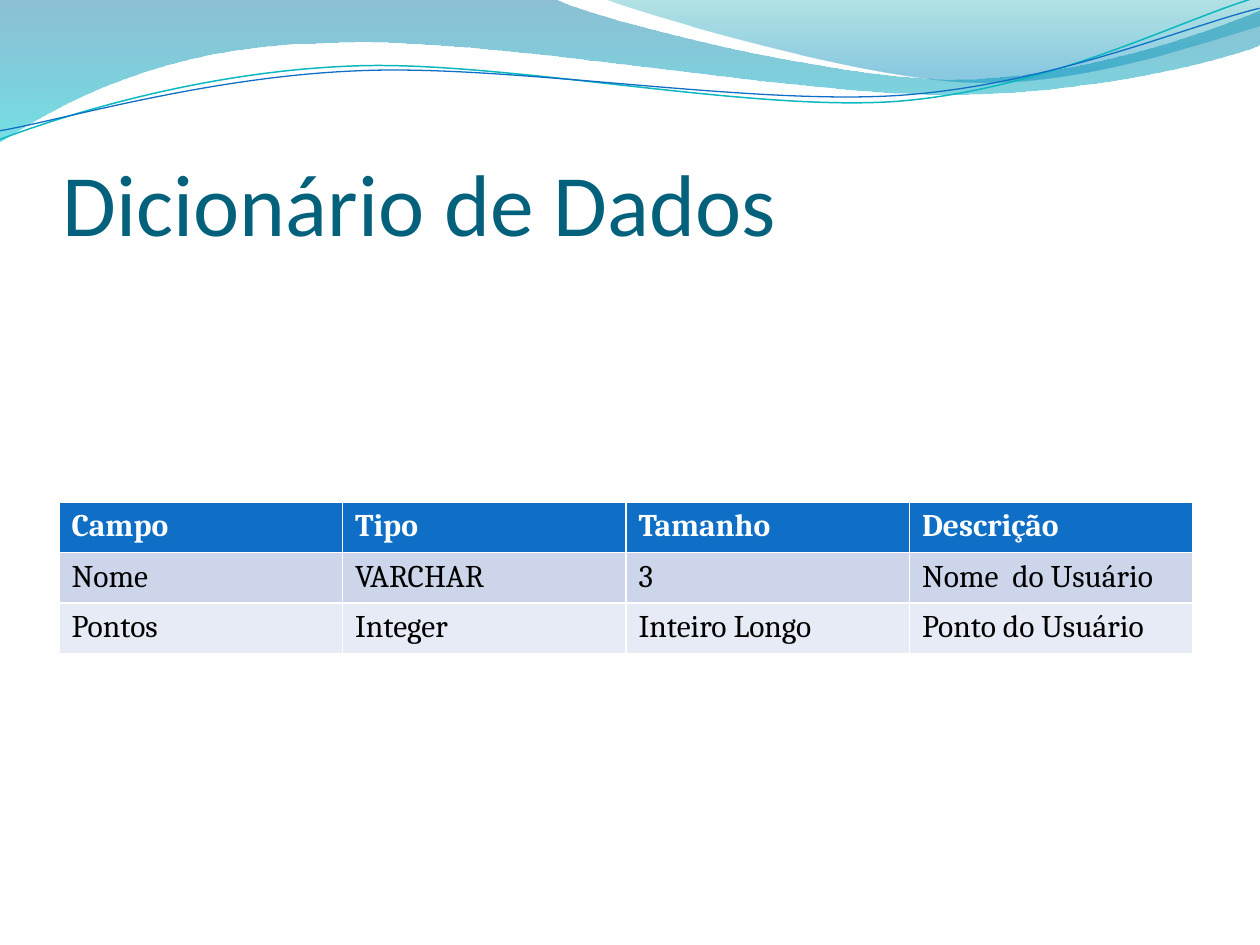
from lxml.etree import SubElement
from pptx import Presentation
from pptx.dml.color import RGBColor as RGB
from pptx.enum.text import MSO_ANCHOR as Anchor
from pptx.oxml.ns import qn
from pptx.util import Emu, Pt

SCALE = 914400 / 126  # EMU per px
COLORS = {
    "title": "04617B", "header": "0F6FC6", "odd": "CCD5EA", "even": "E7EBF5",
    "white": "FFFFFF", "black": "000000", "teal": "0AB8BF",
    "wave_blue": "0074A1", "wave_aqua": "00C6CF",
    "crest_green": "00A1A9", "crest_blue": "008BBF",
}


def px(value):
    return Emu(round(value * SCALE))


def add_outline(start, segments, closed):
    """Segments hold one point (straight) or three (cubic curve)."""
    builder = slide.shapes.build_freeform(px(start[0]), px(start[1]))
    points = [(px(x), px(y)) for segment in segments for x, y in segment]
    builder.add_line_segments(points, close=closed)
    shape = builder.convert_to_shape()
    shape.shadow.inherit = False

    # Join each three straight steps of a curve into one cubic step
    steps = iter(list(shape.element.spPr.iter(qn("a:lnTo"))))
    for segment in segments:
        first, *others = [next(steps) for _ in segment]
        if others:
            curve = first.makeelement(qn("a:cubicBezTo"))
            first.addprevious(curve)
            for step in (first, *others):
                curve.append(step[0])
                step.getparent().remove(step)
    return shape


presentation = Presentation()
presentation.slide_width, presentation.slide_height = px(1260), px(945)
slide = presentation.slides.add_slide(presentation.slide_layouts[6])

# Translucent gradient waves; stops are position, color, opacity in percent
waves = [
    ((0, 0), [
        [(554, -1)],
        [(600, 21), (837, 79), (955, 79)],
        [(1074, 79), (1207, 33), (1260, 11)],
        [(1261, 45)],
        [(1239, 55), (1096, 96), (940, 94)],
        [(784, 94), (481, 35), (324, 43)],
        [(163, 45), (58, 105), (-1, 142)],
    ], [(0, "wave_blue", 45), (1, "wave_aqua", 55)]),
    ((604, -1), [
        [(641, 14), (859, 78), (969, 82)],
        [(1079, 87), (1211, 40), (1260, 26)],
        [(1260, 0)],
    ], [(0, "crest_green", 30), (0.8, "crest_blue", 45)]),
]
for start, segments, stops in waves:
    wave = add_outline(start, segments, True)
    wave.line.fill.background()
    wave.fill.gradient()
    wave.fill.gradient_angle = 270
    for stop, (position, color, _) in zip(wave.fill.gradient_stops, stops):
        stop.position = position
        stop.color.rgb = RGB.from_string(COLORS[color])
    for node, (_, _, opacity) in zip(wave.element.spPr.iter(qn("a:srgbClr")), stops):
        SubElement(node, qn("a:alpha"), val=str(opacity * 1000))

# Thin curves below the waves, tilted slightly
curves = [
    ((-3, 110), [
        [(58, 90), (199, 52), (350, 53)],
        [(499, 53), (745, 118), (896, 114)],
        [(1049, 109), (1184, 45), (1260, 27)],
    ], "teal", 0.85),
    ((-2, 101), [
        [(57, 94), (207, 57), (357, 58)],
        [(509, 58), (750, 112), (902, 108)],
        [(1052, 104), (1189, 52), (1262, 38)],
    ], "header", 0.75),
]
for start, segments, color, width in curves:
    curve = add_outline(start, segments, False)
    curve.rotation = 357.3
    curve.fill.background()
    curve.line.color.rgb = RGB.from_string(COLORS[color])
    curve.line.width = Pt(width)

# Title
title = slide.shapes.add_textbox(px(63), px(97), px(1134), px(157))
frame = title.text_frame
frame_format = {"word_wrap": True, "vertical_anchor": Anchor.BOTTOM, "margin_left": 0,
                "margin_right": 0, "margin_top": px(6), "margin_bottom": 0}
for name, value in frame_format.items():
    setattr(frame, name, value)
frame.text = "Dicionário de Dados"
font = frame.paragraphs[0].runs[0].font
for name, value in {"name": "Calibri", "size": Pt(50)}.items():
    setattr(font, name, value)
font.color.rgb = RGB.from_string(COLORS["title"])

# Data dictionary table; its style draws the white borders
rows = [
    ("Campo", "Tipo", "Tamanho", "Descrição"),
    ("Nome", "VARCHAR", "3", "Nome  do Usuário"),
    ("Pontos", "Integer", "Inteiro Longo", "Ponto do Usuário"),
]
row_fills = ("header", "odd", "even")
table_frame = slide.shapes.add_table(3, 4, px(59), px(502), px(1134), px(126))
table_frame.height = px(151)
for row_index, row in enumerate(rows):
    is_header = row_index == 0
    for column_index, text in enumerate(row):
        cell = table_frame.table.cell(row_index, column_index)
        cell.text = text
        cell.fill.solid()
        cell.fill.fore_color.rgb = RGB.from_string(COLORS[row_fills[row_index]])
        font = cell.text_frame.paragraphs[0].runs[0].font
        for name, value in {"name": "Cambria", "size": Pt(18), "bold": is_header}.items():
            setattr(font, name, value)
        font.color.rgb = RGB.from_string(COLORS["white" if is_header else "black"])

presentation.save("out.pptx")
